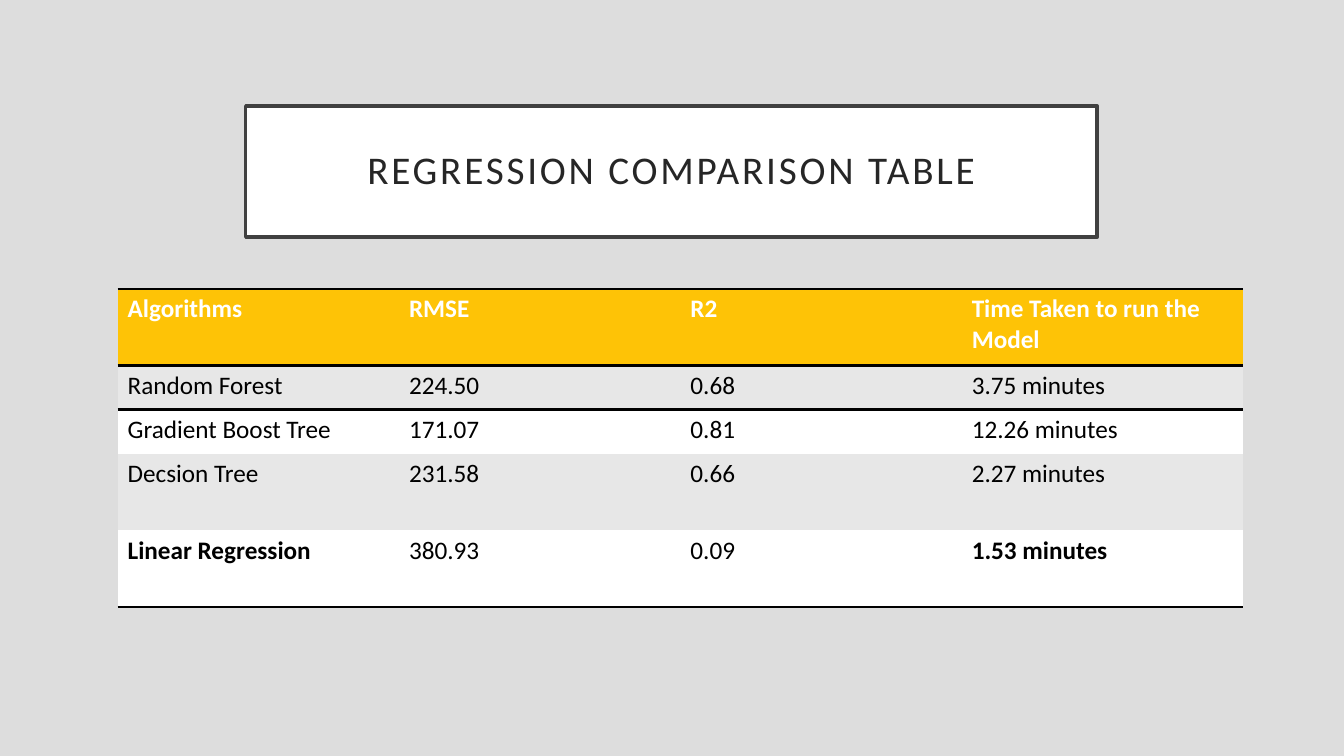
"""Build the regression comparison slide with a boxed title and a ruled table."""
import pptx
import pptx.dml.color
import pptx.enum.shapes
import pptx.enum.text
import pptx.oxml
import pptx.oxml.ns
import pptx.util

HEADING = "REGRESSION COMPARISON TABLE"
RESULTS = [
    ("Algorithms", "RMSE", "R2", "Time Taken to run the Model"),
    ("Random Forest", "224.50", "0.68", "3.75 minutes"),
    ("Gradient Boost Tree", "171.07", "0.81", "12.26 minutes"),
    ("Decsion Tree", "231.58", "0.66", "2.27 minutes"),
    ("Linear Regression", "380.93", "0.09", "1.53 minutes"),
]
EMPHASISED = {"Linear Regression", "1.53 minutes"}
RULES = {0: ("lnT", "lnB"), 1: ("lnT",), len(RESULTS) - 1: ("lnB",)}

THEME = {
    "font": "Calibri",
    "background": "DDDDDD",
    "panel": "FFFFFF",
    "frame": "404040",
    "heading": "262626",
    "header_fill": "FEC306",
    "header_text": "FFFFFF",
    "bands": ("FFFFFF", "E7E7E7"),
    "text": "000000",
    "rule": "000000",
    "heading_size": 28,
    "table_size": 18,
    "frame_width": 2.5,
    "rule_width": 2,
}

SLIDE_SIZE = (1280, 720)
HEADING_BOX = (234, 101, 811, 125)
HEADING_INSET = 19
TABLE_ORIGIN = (112, 275)
COLUMN_WIDTH = 268
ROW_HEIGHTS = (73, 42, 42, 73, 73)
PLAIN_TABLE_STYLE = "{2D5ABB26-0587-4C30-8999-92F81FD0307C}"


def px(length):
    return pptx.util.Emu(length * 9525)


def paint(fill, colour):
    fill.solid()
    fill.fore_color.rgb = pptx.dml.color.RGBColor.from_string(colour)


def apply(target, values):
    for name, value in values.items():
        setattr(target, name, value)


def write(paragraph, text, size, colour, bold=False):
    run = paragraph.add_run()
    run.text = text
    apply(run.font, {"name": THEME["font"], "size": pptx.util.Pt(size), "bold": bold})
    paint(run.font.fill, colour)
    return run


def add_rule(cell, side):
    width = pptx.util.Pt(THEME["rule_width"])
    cell._tc.get_or_add_tcPr().append(pptx.oxml.parse_xml(
        f'<a:{side} {pptx.oxml.ns.nsdecls("a")} w="{width}"><a:solidFill>'
        f'<a:srgbClr val="{THEME["rule"]}"/></a:solidFill></a:{side}>'))


def add_heading(slide):
    heading = slide.shapes.add_shape(
        pptx.enum.shapes.MSO_SHAPE.RECTANGLE, *map(px, HEADING_BOX))
    heading.shadow.inherit = False
    paint(heading.fill, THEME["panel"])
    paint(heading.line.fill, THEME["frame"])
    heading.line.width = pptx.util.Pt(THEME["frame_width"])
    frame = heading.text_frame
    apply(frame, {f"margin_{side}": px(HEADING_INSET)
                  for side in ("left", "top", "right", "bottom")})
    apply(frame, {"word_wrap": True,
                  "vertical_anchor": pptx.enum.text.MSO_ANCHOR.MIDDLE})
    line = frame.paragraphs[0]
    apply(line, {"alignment": pptx.enum.text.PP_ALIGN.CENTER, "line_spacing": 0.9})
    run = write(line, HEADING, THEME["heading_size"], THEME["heading"])
    run.font._element.set("spc", "200")


def add_results(slide):
    columns = len(RESULTS[0])
    results = slide.shapes.add_table(
        len(RESULTS), columns, *map(px, TABLE_ORIGIN),
        px(COLUMN_WIDTH * columns), px(sum(ROW_HEIGHTS))).table
    apply(results, {"first_row": True, "horz_banding": False})
    results._tbl.tblPr.find(pptx.oxml.ns.qn("a:tableStyleId")).text = PLAIN_TABLE_STYLE
    for column in results.columns:
        column.width = px(COLUMN_WIDTH)
    for r, (entries, height) in enumerate(zip(RESULTS, ROW_HEIGHTS)):
        results.rows[r].height = px(height)
        is_header = r == 0
        band = THEME["header_fill"] if is_header else THEME["bands"][r % 2]
        colour = THEME["header_text"] if is_header else THEME["text"]
        for c, entry in enumerate(entries):
            cell = results.cell(r, c)
            for side in RULES.get(r, ()):
                add_rule(cell, side)
            paint(cell.fill, band)
            write(cell.text_frame.paragraphs[0], entry, THEME["table_size"],
                  colour, is_header or entry in EMPHASISED)


def main():
    deck = pptx.Presentation()
    deck.slide_width, deck.slide_height = map(px, SLIDE_SIZE)
    slide = deck.slides.add_slide(deck.slide_layouts[6])
    paint(slide.background.fill, THEME["background"])
    add_heading(slide)
    add_results(slide)
    deck.save("out.pptx")


if __name__ == "__main__":
    main()
